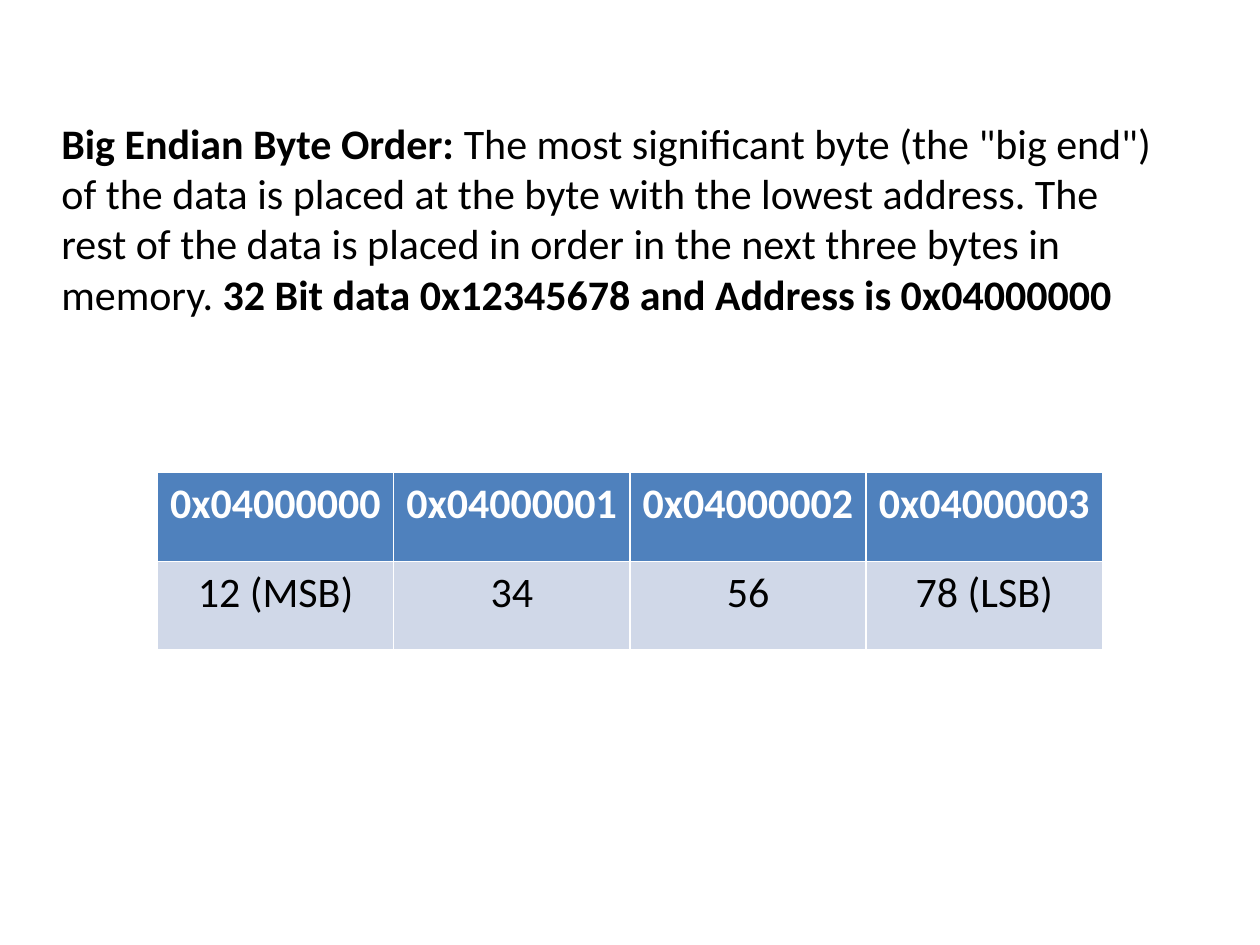
"""Build a slide that explains big endian byte order with a memory table."""
from dataclasses import dataclass

from pptx import Presentation
from pptx.dml.color import RGBColor
from pptx.enum.text import MSO_ANCHOR, PP_ALIGN
from pptx.util import Pt

TOP = MSO_ANCHOR.TOP
LEFT, CENTER = PP_ALIGN.LEFT, PP_ALIGN.CENTER

DEFINITION = [
    ("Big Endian Byte Order: ", True),
    ('The most significant byte (the "big end") of the data is placed at the byte '
     "with the lowest address. The rest of the data is placed in order in the next "
     "three bytes in memory. ", False),
    ("32 Bit data 0x12345678 and Address is 0x04000000", True),
]
ADDRESSES = ["0x04000000", "0x04000001", "0x04000002", "0x04000003"]
BYTES = ["12 (MSB)", "34", "56", "78 (LSB)"]


@dataclass(frozen=True)
class Theme:
    font: str = "Calibri"
    size: int = 24
    ink: RGBColor = RGBColor(0x00, 0x00, 0x00)
    paper: RGBColor = RGBColor(0xFF, 0xFF, 0xFF)
    header: RGBColor = RGBColor(0x4F, 0x81, 0xBD)
    band: RGBColor = RGBColor(0xD0, 0xD8, 0xE8)


THEME = Theme()
MEMORY_ROWS = [
    (ADDRESSES, THEME.header, THEME.paper, True, LEFT),
    (BYTES, THEME.band, THEME.ink, False, CENTER),
]


def add_run(paragraph, wording, color, bold):
    run = paragraph.add_run()
    run.text = wording
    run.font.name = THEME.font
    run.font.size = Pt(THEME.size)
    run.font.bold = bold
    run.font.color.rgb = color


def add_definition(slide):
    frame = slide.shapes.add_textbox(Pt(28), Pt(34), Pt(641.5), Pt(174)).text_frame
    frame.word_wrap = True
    frame.vertical_anchor = TOP
    frame.margin_top = Pt(33)
    for wording, bold in DEFINITION:
        add_run(frame.paragraphs[0], wording, THEME.ink, bold)


def add_memory(slide):
    memory = slide.shapes.add_table(
        len(MEMORY_ROWS), len(ADDRESSES), Pt(90), Pt(270), Pt(540), Pt(101.5)
    ).table
    for row, (entries, fill, color, bold, alignment) in enumerate(MEMORY_ROWS):
        for column, entry in enumerate(entries):
            cell = memory.cell(row, column)
            cell.fill.solid()
            cell.fill.fore_color.rgb = fill
            paragraph = cell.text_frame.paragraphs[0]
            paragraph.alignment = alignment
            add_run(paragraph, entry, color, bold)


def main():
    deck = Presentation()
    deck.slide_width, deck.slide_height = Pt(720), Pt(540)
    slide = deck.slides.add_slide(deck.slide_layouts[6])
    add_definition(slide)
    add_memory(slide)
    deck.save("out.pptx")


if __name__ == "__main__":
    main()
